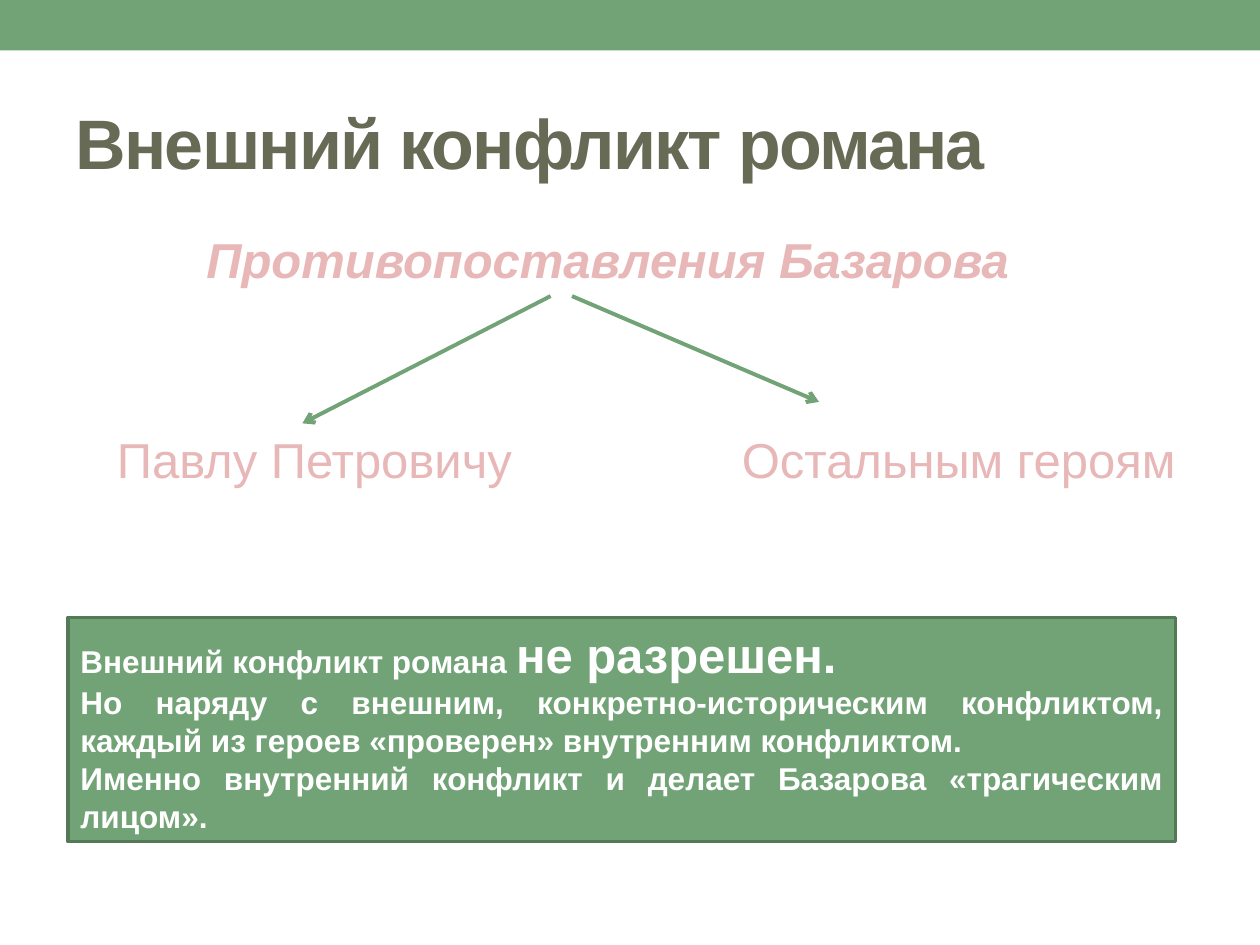
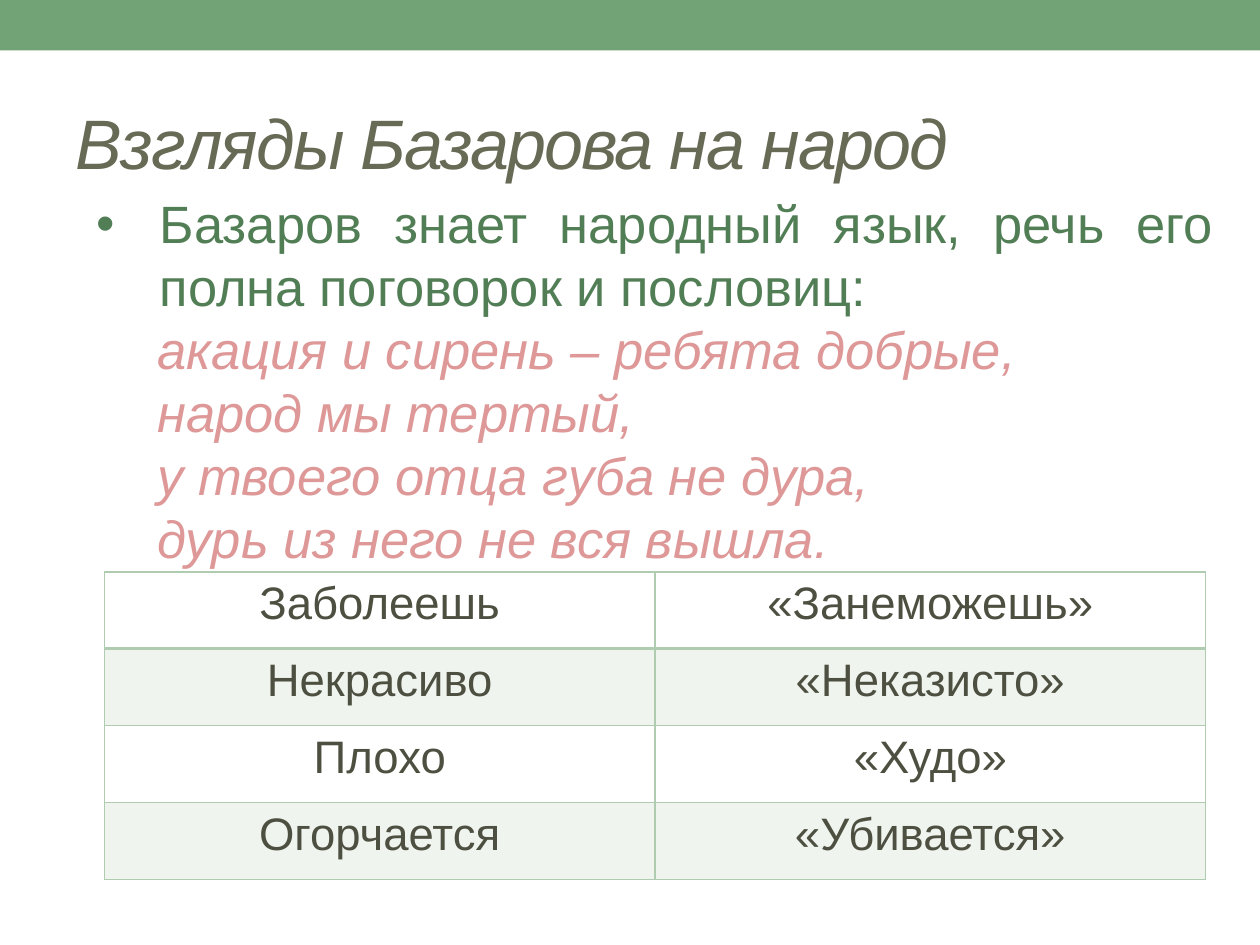
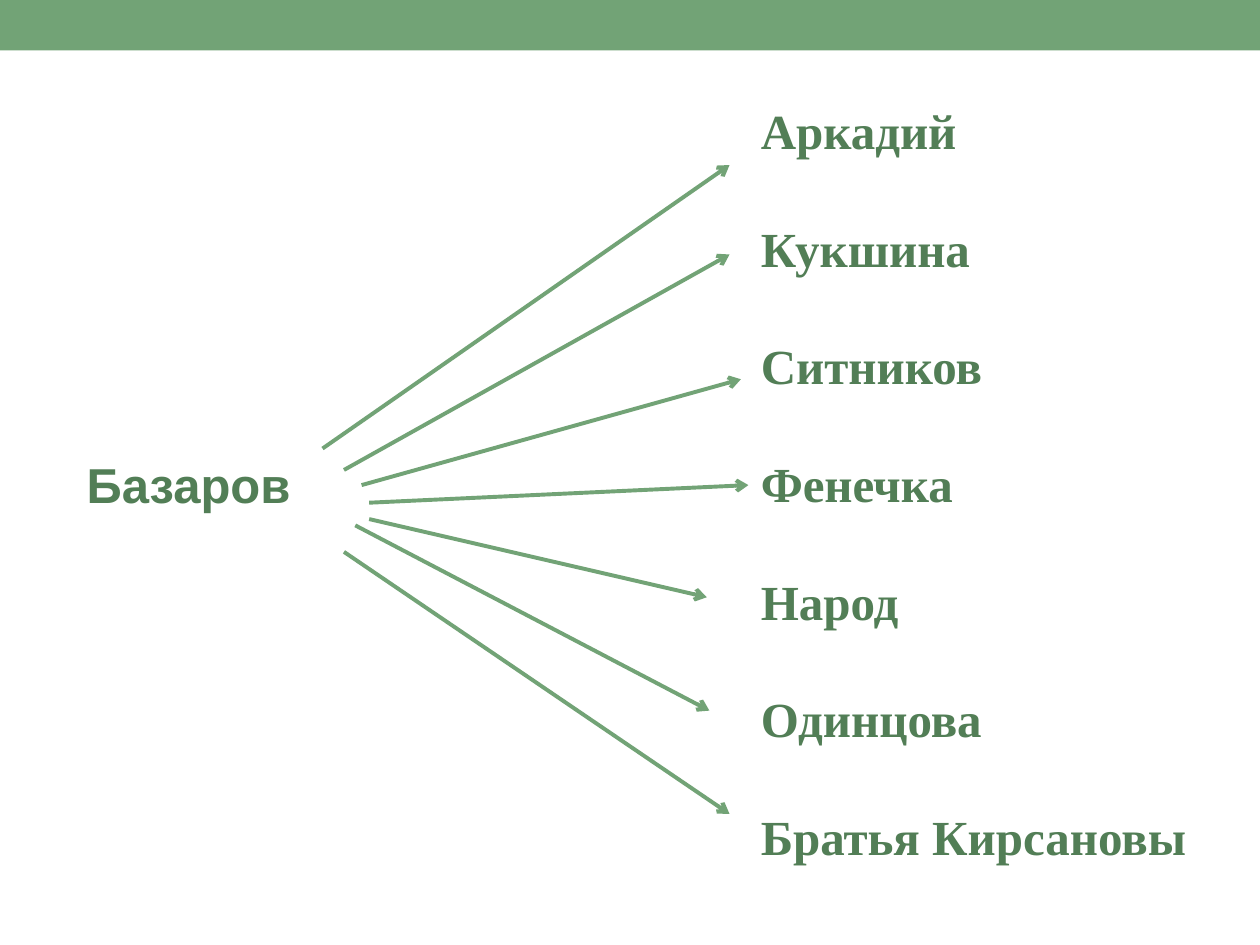
from dataclasses import dataclass

from lxml import etree
from pptx import Presentation
from pptx.dml.color import RGBColor
from pptx.enum.shapes import MSO_CONNECTOR, MSO_SHAPE
from pptx.enum.text import MSO_ANCHOR, PP_ALIGN
from pptx.oxml.ns import qn
from pptx.util import Emu, Inches, Pt

STRAIGHT = MSO_CONNECTOR.STRAIGHT
RECTANGLE = MSO_SHAPE.RECTANGLE
MIDDLE = MSO_ANCHOR.MIDDLE
LEFT, CENTER, JUSTIFY = PP_ALIGN.LEFT, PP_ALIGN.CENTER, PP_ALIGN.JUSTIFY
TITLE_ONLY, BLANK = 5, 6

SLIDE_WIDTH, SLIDE_HEIGHT = Inches(10), Inches(7.5)
COLUMN, ROW = SLIDE_WIDTH / 10, SLIDE_HEIGHT / 7.5


@dataclass(frozen=True)
class Theme:
    green: str = "72A376"
    dark_green: str = "527E56"
    outline: str = "547957"
    pale_green: str = "B0CCB0"
    olive: str = "676A55"
    dark_olive: str = "4D5040"
    pink: str = "E8B7B7"
    rose: str = "DE9898"
    white: str = "FFFFFF"
    sans: str = "Arial"
    serif: str = "Times New Roman"
    title_size: int = 40
    body_size: int = 30
    label_size: int = 28
    table_size: int = 26
    note_size: int = 18
    line_width: float = 2.25


THEME = Theme()


@dataclass(frozen=True)
class Box:
    """An area in grid columns and rows."""
    left: float
    top: float
    width: float
    height: float

    def inner(self, left, top, width, height):
        return Box(self.left + left, self.top + top, width, height)

    def point(self, across, down):
        return (Emu(round((self.left + across) * COLUMN)),
                Emu(round((self.top + down) * ROW)))

    def frame(self):
        return (*self.point(0, 0), Emu(round(self.width * COLUMN)),
                Emu(round(self.height * ROW)))


TITLE_BOX = Box(0.5, 0.58, 9, 1.08)


# Shared helpers
def font_style(size, color, **changes):
    return {"size": Pt(size), "name": THEME.sans, "color": color, **changes}


def add_run(paragraph, text, style):
    run = paragraph.add_run()
    run.text = text
    for attribute, value in style.items():
        if attribute == "color":
            run.font.color.rgb = RGBColor.from_string(value)
        else:
            setattr(run.font, attribute, value)
    return run


def write_paragraphs(text_frame, paragraphs, **layout):
    """Each paragraph is a list of (text, style) runs."""
    for index, runs in enumerate(paragraphs):
        paragraph = text_frame.paragraphs[0] if index == 0 else text_frame.add_paragraph()
        for attribute, value in layout.items():
            setattr(paragraph, attribute, value)
        for text, style in runs:
            add_run(paragraph, text, style)


def add_text(slide, box, paragraphs, wrap=True, **layout):
    text_frame = slide.shapes.add_textbox(*box.frame()).text_frame
    text_frame.word_wrap = wrap
    write_paragraphs(text_frame, paragraphs, **layout)
    return text_frame


def add_rectangle(slide, box, fill, outline=None):
    shape = slide.shapes.add_shape(RECTANGLE, *box.frame())
    shape.shadow.inherit = False
    shape.fill.solid()
    shape.fill.fore_color.rgb = RGBColor.from_string(fill)
    if outline:
        shape.line.color.rgb = RGBColor.from_string(outline)
        shape.line.width = Pt(2.08)
    else:
        shape.line.fill.background()
    return shape


def add_arrow(slide, start, end):
    connector = slide.shapes.add_connector(STRAIGHT, *start, *end)
    connector.line.color.rgb = RGBColor.from_string(THEME.green)
    connector.line.width = Pt(THEME.line_width)
    properties = connector.element.spPr
    etree.SubElement(properties.find(qn("a:ln")), qn("a:tailEnd"), type="arrow")
    etree.SubElement(properties, qn("a:effectLst"))


def add_arrows(slide, box, arrows):
    for start, end in arrows:
        add_arrow(slide, box.point(*start), box.point(*end))


def set_title(slide, text, **emphasis):
    title = slide.shapes.title
    title.left, title.top, title.width, title.height = TITLE_BOX.frame()
    title.text_frame.vertical_anchor = MIDDLE
    paragraph = title.text_frame.paragraphs[0]
    paragraph.alignment = LEFT
    run = add_run(paragraph, text, font_style(THEME.title_size, THEME.olive, **emphasis))
    run.font._element.set("spc", "-100")


def add_master_band(presentation, slide):
    """Move a band to the master so that every slide shows it."""
    band = add_rectangle(slide, Box(0, 0, 10, 0.4), THEME.green)
    band.element.nvSpPr.cNvPr.set("id", "100")
    presentation.slide_master.element.cSld.spTree.insert(2, band.element)


# Slide 1: the outer conflict
def add_opposition(slide, box):
    heading = font_style(THEME.label_size, THEME.pink, bold=True, italic=True)
    add_text(slide, box.inner(0.71, 0, 7.17, 0.57),
             [[("Противопоставления Базарова", heading)]])
    add_arrows(slide, box, [((3.54, 0.58), (1.57, 1.59)),
                            ((3.71, 0.58), (5.67, 1.42))])
    label = font_style(THEME.label_size, THEME.pink)
    text_frame = add_text(slide, box.inner(0, 1.59, 8.82, 0.57),
                          [[("Павлу Петровичу\tОстальным героям", label)]])
    properties = text_frame.paragraphs[0]._p.get_or_add_pPr()
    tabs = etree.SubElement(properties, qn("a:tabLst"))
    etree.SubElement(tabs, qn("a:tab"), pos=str(Inches(4.96)), algn="l")


def add_conclusion(slide, box):
    shape = add_rectangle(slide, box, THEME.green, THEME.outline)
    note = font_style(THEME.note_size, THEME.white, bold=True)
    large = {**note, "size": Pt(THEME.label_size)}
    shape.text_frame.word_wrap = True
    shape.text_frame.vertical_anchor = MIDDLE
    write_paragraphs(shape.text_frame, [
        [("Внешний конфликт романа ", note), ("не разрешен.", large)],
        [("Но наряду с внешним, конкретно-историческим конфликтом, "
          "каждый из героев «проверен» внутренним конфликтом.", note)],
        [("Именно внутренний конфликт и делает Базарова «трагическим лицом».", note)],
    ], alignment=JUSTIFY)


def build_conflict_slide(slide):
    set_title(slide, "Внешний конфликт романа", bold=True)
    add_opposition(slide, Box(0.83, 1.77, 8.82, 2.16))
    add_conclusion(slide, Box(0.54, 4.9, 8.79, 1.78))


# Slide 2: views on the people
def add_sayings(slide, box):
    statement = font_style(THEME.body_size, THEME.dark_green)
    saying = font_style(THEME.body_size, THEME.rose, italic=True)
    sayings = ["акация и сирень – ребята добрые,", "народ мы тертый,",
               "у твоего отца губа не дура,", "дурь из него не вся вышла."]
    text_frame = add_text(
        slide, box,
        [[("Базаров знает народный язык, речь его полна поговорок и пословиц:", statement)],
         *[[(text, saying)] for text in sayings]],
        alignment=JUSTIFY)
    for index, paragraph in enumerate(text_frame.paragraphs):
        properties = paragraph._p.get_or_add_pPr()
        margin, indent = (0.48, 0) if index else (0.5, -0.5)
        properties.set("marL", str(Inches(margin)))
        properties.set("indent", str(Inches(indent)))
        if index == 0:
            etree.SubElement(properties, qn("a:buFont"), typeface=THEME.sans)
            etree.SubElement(properties, qn("a:buChar"), char="•")


def set_borders(cell, widths):
    properties = cell._tc.get_or_add_tcPr()
    for side, width in widths.items():
        line = etree.SubElement(properties, qn(f"a:ln{side}"), w=str(Pt(width)))
        fill = etree.SubElement(line, qn("a:solidFill"))
        etree.SubElement(fill, qn("a:srgbClr"), val=THEME.pale_green)


def fill_cell(cell, shaded):
    if not shaded:
        cell.fill.background()
        return
    cell.fill.solid()
    cell.fill.fore_color.rgb = RGBColor.from_string(THEME.pale_green)
    color = cell._tc.tcPr.find(f"{qn('a:solidFill')}/{qn('a:srgbClr')}")
    etree.SubElement(color, qn("a:alpha"), val="20000")


def add_word_table(slide, box, words):
    table = slide.shapes.add_table(len(words), len(words[0]), *box.frame()).table
    table.first_row = table.horz_banding = False
    style = font_style(THEME.table_size, THEME.dark_olive)
    for row, pair in enumerate(words):
        for column, word in enumerate(pair):
            cell = table.cell(row, column)
            write_paragraphs(cell.text_frame, [[(word, style)]], alignment=CENTER)
            set_borders(cell, {"L": 1, "R": 1, "T": 2 if row == 1 else 1,
                               "B": 2 if row == 0 else 1})
            fill_cell(cell, shaded=row % 2 == 1)


def build_people_slide(slide):
    set_title(slide, "Взгляды Базарова на народ", italic=True)
    add_sayings(slide, Box(0.67, 1.47, 9.06, 3.13))
    add_word_table(slide, Box(0.83, 4.54, 8.74, 2.44), [
        ("Заболеешь", "«Занеможешь»"),
        ("Некрасиво", "«Неказисто»"),
        ("Плохо", "«Худо»"),
        ("Огорчается", "«Убивается»"),
    ])


# Slide 3: the hero and the other characters
def add_character_fan(slide, box):
    hero = font_style(THEME.label_size, THEME.dark_green, bold=True)
    add_text(slide, box.inner(0, 2.81, 1.84, 0.57), [[("Базаров", hero)]], wrap=False)
    character = {**hero, "name": THEME.serif}
    names = ["Аркадий", "Кукшина", "Ситников", "Фенечка", "Народ", "Одинцова",
             "Братья Кирсановы"]
    add_text(slide, box.inner(5.35, 0, 3.7, box.height),
             [[(name, character)] for name in names], space_after=Pt(33.6))
    add_arrows(slide, box, [
        ((1.97, 2.81), (5.2, 0.56)),
        ((2.14, 2.98), (5.2, 1.27)),
        ((2.28, 3.1), (5.29, 2.26)),
        ((2.34, 3.24), (5.35, 3.1)),
        ((2.34, 3.37), (5.02, 3.99)),
        ((2.23, 3.42), (5.04, 4.89)),
        ((2.14, 3.63), (5.2, 5.71)),
    ])


def build_characters_slide(slide):
    add_character_fan(slide, Box(0.59, 0.75, 9.05, 6.7))


def main():
    presentation = Presentation()
    presentation.slide_width, presentation.slide_height = SLIDE_WIDTH, SLIDE_HEIGHT
    pages = [(TITLE_ONLY, build_conflict_slide), (TITLE_ONLY, build_people_slide),
             (BLANK, build_characters_slide)]
    for layout, build in pages:
        build(presentation.slides.add_slide(presentation.slide_layouts[layout]))
    add_master_band(presentation, presentation.slides[0])
    presentation.save("out.pptx")


if __name__ == "__main__":
    main()
